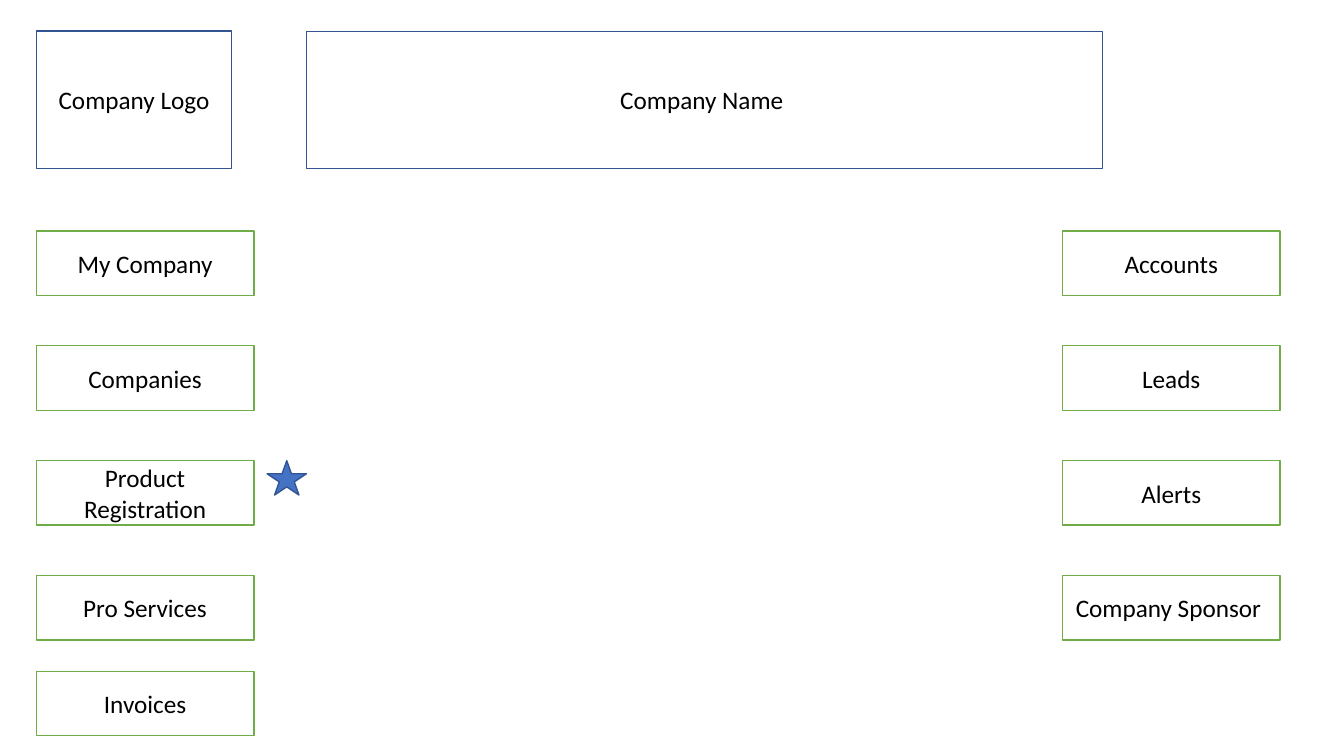
from pptx import Presentation
from pptx import util as u
from pptx.dml import color
from pptx.enum import shapes, text

NAVY, GREEN, BLUE, WHITE, BLACK = "325491", "70AD47", "4472C4", "FFFFFF", "000000"
FONT, SIZE = "Calibri", 18

LOGO = "Company Logo"
NAME = "Company Name "
MENUS = [
    (25.9, ["My Company", "Companies", "Product Registration", "Pro Services", "Invoices"]),
    (758.9, ["Accounts", "Leads", "Alerts", "Company Sponsor "]),
]
STARRED = "Product Registration"

HEAD_TOP, HEAD_HIGH = 22.3, 97.9
ROW_TOP, ROW_STEP, LAST_TOP = 164.9, 82.1, 479.5
ITEM_WIDE, ITEM_HIGH = 155.5, 46.1
STAR_GAP, STAR_WIDE, STAR_HIGH = 9.4, 28.1, 24.5


def rgb(code):
    """Turn a hex string into a colour."""
    return color.RGBColor.from_string(code)


def paint(shape, fill, line):
    """Give a shape its fill and a thin outline."""
    shape.fill.solid()
    shape.fill.fore_color.rgb = rgb(fill)
    shape.line.color.rgb = rgb(line)
    shape.line.width = u.Pt(1)


def write(shape, words):
    """Set centred black text in a shape."""
    frame = shape.text_frame
    frame.text = words
    frame.word_wrap = True
    frame.auto_size = text.MSO_AUTO_SIZE.NONE
    frame.vertical_anchor = text.MSO_ANCHOR.MIDDLE
    para = frame.paragraphs[0]
    para.alignment = text.PP_ALIGN.CENTER
    font = para.runs[0].font
    font.name, font.size = FONT, u.Pt(SIZE)
    font.color.rgb = rgb(BLACK)


def draw(kind, box, fill, line):
    """Add a preset shape at a box given in points."""
    shape = slide.shapes.add_shape(kind, *map(u.Pt, box))
    shape.shadow.inherit = False
    paint(shape, fill, line)
    return shape


def panel(words, box, line):
    """Add a white labelled rectangle."""
    write(draw(shapes.MSO_SHAPE.RECTANGLE, box, WHITE, line), words)


deck = Presentation()
deck.slide_width, deck.slide_height = u.Pt(960), u.Pt(540)
slide = deck.slides.add_slide(deck.slide_layouts[5])

title = slide.shapes.title
title.left, title.top = u.Pt(218.9), u.Pt(HEAD_TOP)
title.width, title.height = u.Pt(568.8), u.Pt(HEAD_HIGH)
paint(title, WHITE, NAVY)
write(title, NAME)

panel(LOGO, (25.9, HEAD_TOP, 139.7, HEAD_HIGH), NAVY)

for left, items in MENUS:
    for row, item in enumerate(items):
        top = min(ROW_TOP + row * ROW_STEP, LAST_TOP)
        panel(item, (left, top, ITEM_WIDE, ITEM_HIGH), GREEN)
        if item == STARRED:
            star = (left + ITEM_WIDE + STAR_GAP, top, STAR_WIDE, STAR_HIGH)
            draw(shapes.MSO_SHAPE.STAR_5_POINT, star, BLUE, NAVY)

deck.save("out.pptx")
